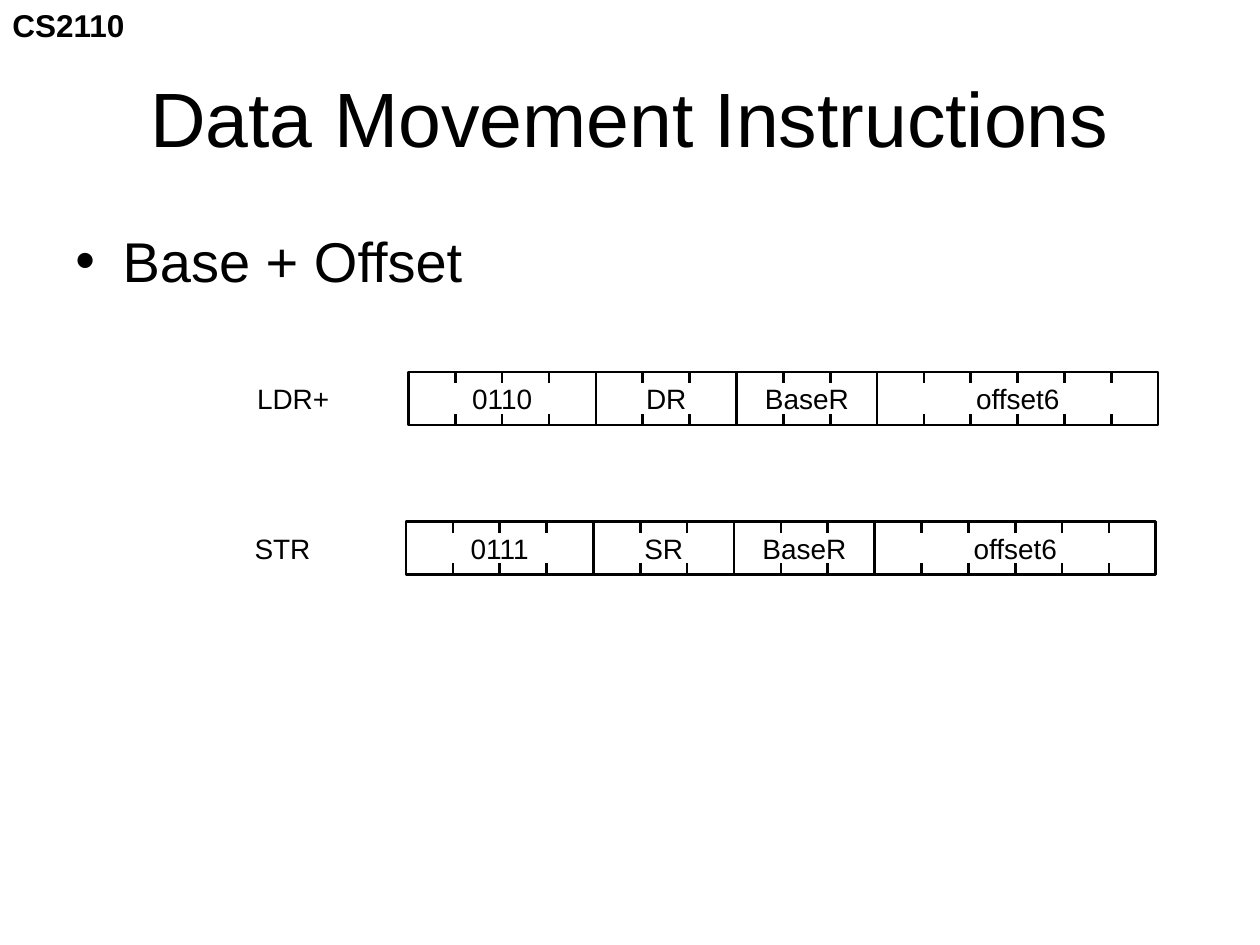
from pptx import Presentation, util as u
from pptx.dml.color import RGBColor
from pptx.enum import shapes as sh, text as tx
from pptx.oxml.xmlchemy import OxmlElement

Pt = u.Pt
INK = "000000"
BIT, HIGH, TICK = 26.78, 30.4, 6.4


def paint(color, hue):
    """Set a colour format from a hex string."""
    color.rgb = RGBColor.from_string(hue)


def style(item, **vals):
    """Set each given attribute on an item."""
    for key, val in vals.items():
        setattr(item, key, val)


def write(frame, words, size, align=tx.PP_ALIGN.LEFT, bold=False, before=0):
    """Fill a text frame with one formatted paragraph."""
    para = frame.paragraphs[0]
    style(para, alignment=align, space_before=Pt(before))
    run = para.add_run()
    run.text = words
    style(run.font, name="Arial", size=Pt(size), bold=bold)
    paint(run.font.color, INK)
    return para


def label(parts, box, words, size, wrap=False, left=7.2, right=7.2, **vals):
    """Add a text box and return its paragraph."""
    frame = parts.add_textbox(*map(Pt, box)).text_frame
    style(frame, word_wrap=wrap, margin_left=Pt(left), margin_right=Pt(right))
    return write(frame, words, size, **vals)


def outline(line):
    """Format a line of the diagram."""
    line.width = Pt(1.5)
    paint(line.color, INK)


def tick(parts, x, y):
    """Draw one short upright bit mark."""
    ends = map(Pt, (x, y, x, y + TICK))
    mark = parts.add_connector(sh.MSO_CONNECTOR.STRAIGHT, *ends)
    outline(mark.line)
    mark._element.spPr.append(OxmlElement("a:effectLst"))


def field(parts, x, y, bits, words, wide):
    """Draw one field with its bit marks and name."""
    span = bits * BIT
    rect = parts.add_shape(sh.MSO_SHAPE.RECTANGLE, *map(Pt, (x, y, span, HIGH)))
    rect.shadow.inherit = False
    rect.fill.background()
    outline(rect.line)
    for bit in range(1, bits):
        for top in (y, y + HIGH - TICK):
            tick(parts, x + bit * BIT, top)
    label(parts, (x + (span - wide) / 2, y + 2, wide, 26.6), words, 16,
          left=0, right=0, align=tx.PP_ALIGN.CENTER, before=10)


def coding(slide, x, y, name, wide, fields):
    """Draw the bit layout of one instruction as a group."""
    parts = slide.shapes.add_group_shape().shapes
    label(parts, (x - 93.6, y + 2, wide, 26.6), name, 16, right=0)
    for bits, words, room in fields:
        field(parts, x, y, bits, words, room)
        x += bits * BIT


def heading(slide, box):
    """Place and format the title."""
    title = slide.shapes.title
    style(title, **dict(zip(("left", "top", "width", "height"), map(Pt, box))))
    title.text_frame.vertical_anchor = tx.MSO_ANCHOR.MIDDLE
    write(title.text_frame, "Data Movement Instructions", 44, tx.PP_ALIGN.CENTER)


def body(slide, box):
    """Add the bulleted text."""
    para = label(slide.shapes, box, "Base + Offset", 32, wrap=True, before=8)
    props = para._p.get_or_add_pPr()
    style(props, marL=Pt(27), indent=Pt(-27))
    for tag, key, val in (("a:buFont", "typeface", "Arial"), ("a:buChar", "char", "•")):
        part = OxmlElement(tag)
        part.set(key, val)
        props.append(part)
    props.set("marL", str(Pt(27)))
    props.set("indent", str(Pt(-27)))


def main():
    """Build and save the slide."""
    deck = Presentation()
    style(deck, slide_width=Pt(720), slide_height=Pt(540))
    slide = deck.slides.add_slide(deck.slide_layouts[5])
    label(slide.shapes, (0, 0, 79, 29), "CS2110", 18, bold=True)
    heading(slide, (36, 21.6, 648, 90))
    body(slide, (36, 126, 648, 402))
    tail = [(3, "BaseR", 62), (6, "offset6", 62)]
    coding(slide, 233.4, 212.6, "LDR+", 55.4, [(4, "0110", 50), (3, "DR", 37), *tail])
    coding(slide, 232, 298, "STR", 46, [(4, "0111", 50), (3, "SR", 37), *tail])
    deck.save("out.pptx")


if __name__ == "__main__":
    main()
